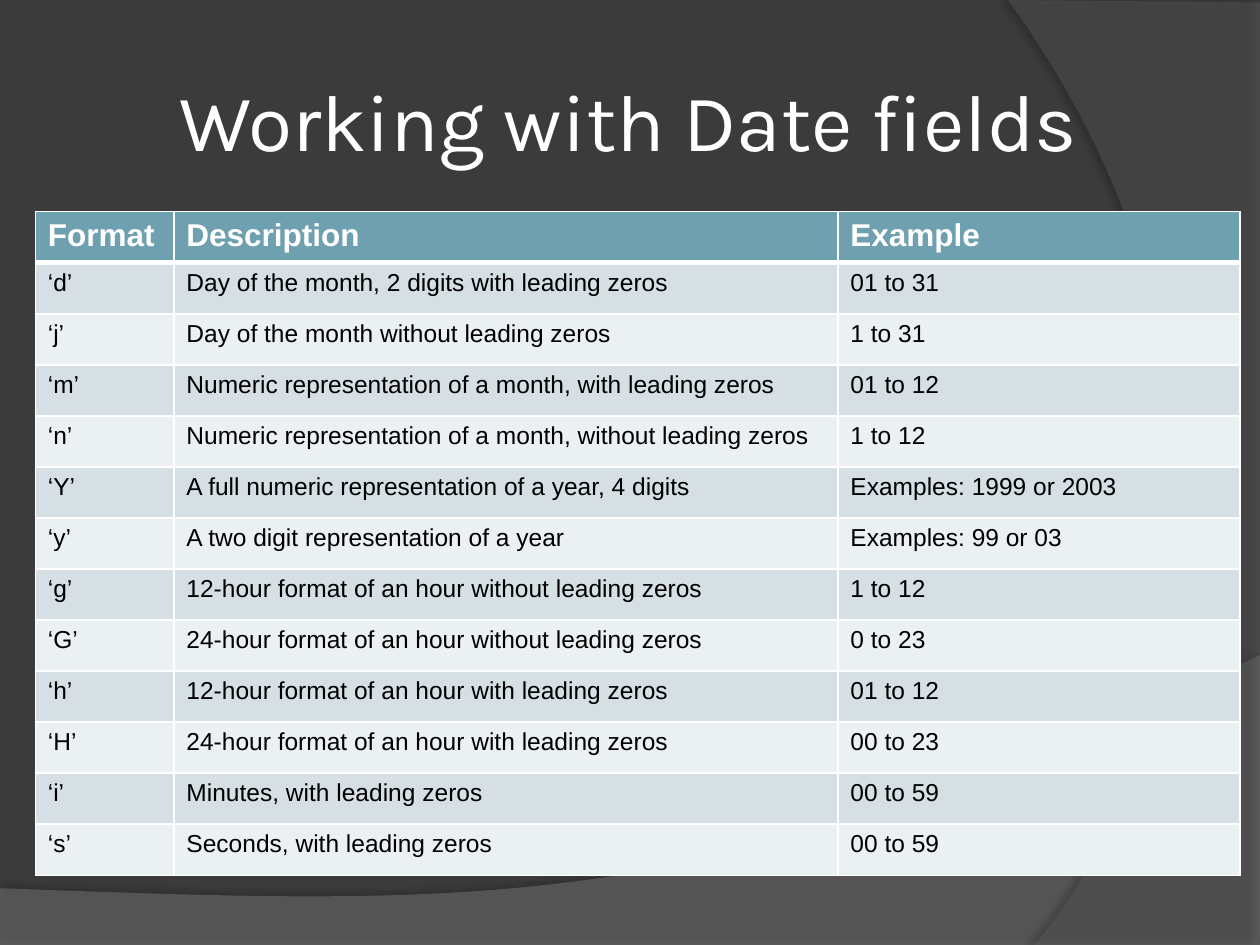
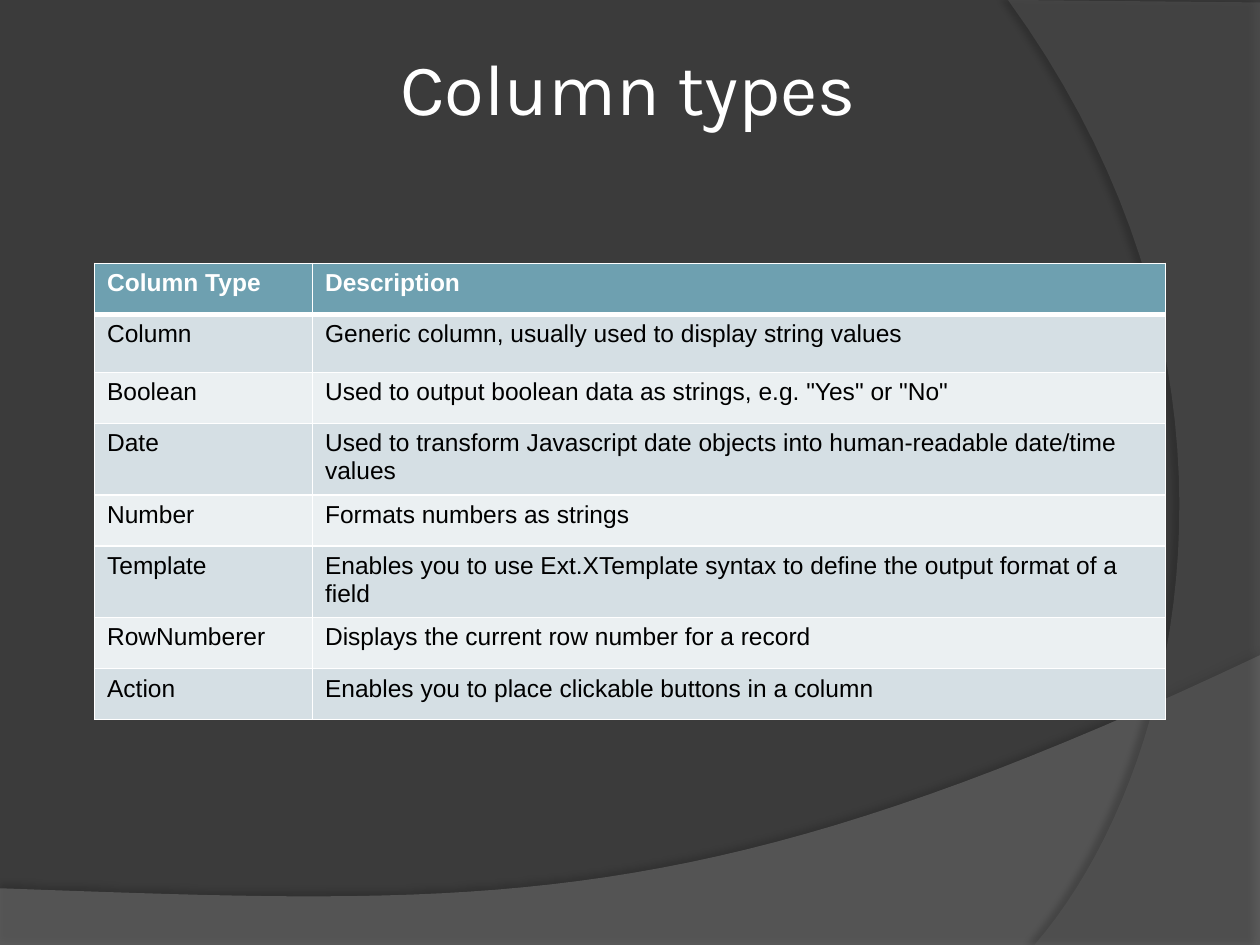
from dataclasses import dataclass, field

from lxml.etree import SubElement
from pptx import Presentation
from pptx.dml.color import RGBColor
from pptx.enum.text import MSO_ANCHOR as Anchor, PP_ALIGN as Align
from pptx.oxml.ns import qn
from pptx.util import Inches, Pt

# Shared look
BACKGROUND = "3B3B3B"
WHITE = "FFFFFF"
BLACK = "000000"
HEADER_FILL = "6EA0B0"
BAND_FILLS = ("D5DFE4", "EBF0F2")
TITLE_FONT = "Karla"
BODY_FONT = "Arial"
BODY_SIZE = 14
ROW_HEIGHT = 5.27 / 13
CURVE_STEPS = 40

Point = tuple[float, float]


@dataclass
class Wave:
    """A translucent outline: straight corners, then one Bezier curve."""
    corners: list[Point]
    curve: tuple[Point, Point, Point]
    color: str
    opacity: int
    shadow_opacity: int
    shadow_distance: float
    shadow_angle: int


@dataclass
class TableSlide:
    title: str
    title_box: tuple[float, float, float, float]
    title_size: float
    table_position: Point
    column_widths: list[float]
    header_size: int
    rows: list[tuple[str, ...]]
    special_heights: dict[int, float] = field(default_factory=dict)


WAVES = [
    Wave([(0, 7.05), (0, 7.51), (10, 7.51), (10, 5.2)],
         ((5.59, 7.29), (3.91, 7.19), (0, 7.05)), "7F7F7F", 45, 35, 3.5, 270),
    Wave([(10, 0.02), (10, 7.5), (8.21, 7.5)],
         ((9.35, 6.19), (10.18, 3), (8, 0)), "5E5E5E", 40, 45, 4, 180),
]

TABLE_SLIDES = [
    TableSlide(
        "Working with Date fields", (0.13, 0.21, 9.71, 1.47), 46,
        (0.28, 1.68), [1.1, 5.27, 3.19], 18,
        [
            ("Format", "Description", "Example"),
            ("‘d’", "Day of the month, 2 digits with leading zeros", "01 to 31"),
            ("‘j’", "Day of the month without leading zeros", "1 to 31"),
            ("‘m’", "Numeric representation of a month, with leading zeros", "01 to 12"),
            ("‘n’", "Numeric representation of a month, without leading zeros", "1 to 12"),
            ("‘Y’", "A full numeric representation of a year, 4 digits", "Examples: 1999 or 2003"),
            ("‘y’", "A two digit representation of a year", "Examples: 99 or 03"),
            ("‘g’", "12-hour format of an hour without leading zeros", "1 to 12"),
            ("‘G’", "24-hour format of an hour without leading zeros", "0 to 23"),
            ("‘h’", "12-hour format of an hour with leading zeros", "01 to 12"),
            ("‘H’", "24-hour format of an hour with leading zeros", "00 to 23"),
            ("‘i’", "Minutes, with leading zeros", "00 to 59"),
            ("‘s’", "Seconds, with leading zeros", "00 to 59"),
        ],
    ),
    TableSlide(
        "Column types", (0.13, 0.31, 9.71, 0.76), 41.4,
        (0.75, 2.09), [1.73, 6.77], BODY_SIZE,
        [
            ("Column Type", "Description"),
            ("Column", "Generic column, usually used to display string values"),
            ("Boolean", 'Used to output boolean data as strings, e.g. "Yes" or "No"'),
            ("Date", "Used to transform Javascript date objects into human-readable date/time values"),
            ("Number", "Formats numbers as strings"),
            ("Template", "Enables you to use Ext.XTemplate syntax to define the output format of a field"),
            ("RowNumberer", "Displays the current row number for a record"),
            ("Action", "Enables you to place clickable buttons in a column"),
        ],
        special_heights={1: 0.46},
    ),
]


def rgb(color: str) -> RGBColor:
    return RGBColor.from_string(color)


def write_text(text_frame, text: str, *, size: float, color: str, font: str = BODY_FONT,
               bold: bool = False, align: Align = Align.LEFT) -> None:
    paragraph = text_frame.paragraphs[0]
    paragraph.alignment = align
    run = paragraph.add_run()
    run.text = text
    run.font.name = font
    run.font.size = Pt(size)
    run.font.bold = bold
    run.font.color.rgb = rgb(color)


def set_opacity(color_element, percent: int) -> None:
    SubElement(color_element, qn("a:alpha"), val=str(percent * 1000))


def curve_points(start: Point, first: Point, second: Point, end: Point) -> list[Point]:
    """Points along a cubic Bezier curve, without its start."""
    def blend(t: float, axis: int) -> float:
        u = 1 - t
        return (u**3 * start[axis] + 3 * u**2 * t * first[axis]
                + 3 * u * t**2 * second[axis] + t**3 * end[axis])
    steps = [step / CURVE_STEPS for step in range(1, CURVE_STEPS + 1)]
    return [(blend(t, 0), blend(t, 1)) for t in steps]


def draw_wave(slide, wave: Wave) -> None:
    points = wave.corners + curve_points(wave.corners[-1], *wave.curve)
    start, *others = [(Inches(x), Inches(y)) for x, y in points]
    builder = slide.shapes.build_freeform(*start)
    builder.add_line_segments(others, close=True)
    shape = builder.convert_to_shape()
    shape.fill.solid()
    shape.fill.fore_color.rgb = rgb(wave.color)
    shape.line.fill.background()
    shape.shadow.inherit = False

    # Transparency and soft edge shadow
    properties = shape._element.spPr
    set_opacity(properties.find(qn("a:solidFill")).find(qn("a:srgbClr")), wave.opacity)
    shadow = SubElement(properties.find(qn("a:effectLst")), qn("a:outerShdw"),
                        blurRad=str(Pt(4)), dist=str(Pt(wave.shadow_distance)),
                        dir=str(wave.shadow_angle * 60000), rotWithShape="0")
    set_opacity(SubElement(shadow, qn("a:srgbClr"), val=BLACK), wave.shadow_opacity)


def draw_title(slide, content: TableSlide) -> None:
    box = slide.shapes.add_textbox(*map(Inches, content.title_box))
    text_frame = box.text_frame
    text_frame.word_wrap = True
    text_frame.vertical_anchor = Anchor.MIDDLE
    text_frame.margin_left = text_frame.margin_right = Inches(0.05)
    write_text(text_frame, content.title, size=content.title_size, color=WHITE,
               font=TITLE_FONT, align=Align.CENTER)


def set_borders(cell, *, top: float, bottom: float) -> None:
    properties = cell._tc.get_or_add_tcPr()
    for side, width in (("L", 1), ("R", 1), ("T", top), ("B", bottom)):
        line = SubElement(properties, qn(f"a:ln{side}"), w=str(Pt(width)))
        fill = SubElement(line, qn("a:solidFill"))
        SubElement(fill, qn("a:srgbClr"), val=WHITE)


def draw_table(slide, content: TableSlide) -> None:
    heights = [content.special_heights.get(index, ROW_HEIGHT)
               for index in range(len(content.rows))]
    left, top = content.table_position
    table = slide.shapes.add_table(
        len(heights), len(content.column_widths), Inches(left), Inches(top),
        Inches(sum(content.column_widths)), Inches(sum(heights))).table
    for column, width in zip(table.columns, content.column_widths):
        column.width = Inches(width)

    for row_index, (row, height, texts) in enumerate(zip(table.rows, heights, content.rows)):
        row.height = Inches(height)
        is_header = row_index == 0
        fill = HEADER_FILL if is_header else BAND_FILLS[(row_index - 1) % 2]
        for cell, text in zip(row.cells, texts):
            # A thick rule separates the header from the body
            set_borders(cell, top=3 if row_index == 1 else 1, bottom=3 if is_header else 1)
            cell.fill.solid()
            cell.fill.fore_color.rgb = rgb(fill)
            write_text(cell.text_frame, text, bold=is_header,
                       size=content.header_size if is_header else BODY_SIZE,
                       color=WHITE if is_header else BLACK)


def main() -> None:
    presentation = Presentation()
    presentation.slide_width = Inches(10)
    presentation.slide_height = Inches(7.5)
    background = presentation.slide_master.background.fill
    background.solid()
    background.fore_color.rgb = rgb(BACKGROUND)

    for content in TABLE_SLIDES:
        slide = presentation.slides.add_slide(presentation.slide_layouts[6])
        for wave in WAVES:
            draw_wave(slide, wave)
        draw_title(slide, content)
        draw_table(slide, content)

    presentation.save("out.pptx")


if __name__ == "__main__":
    main()
